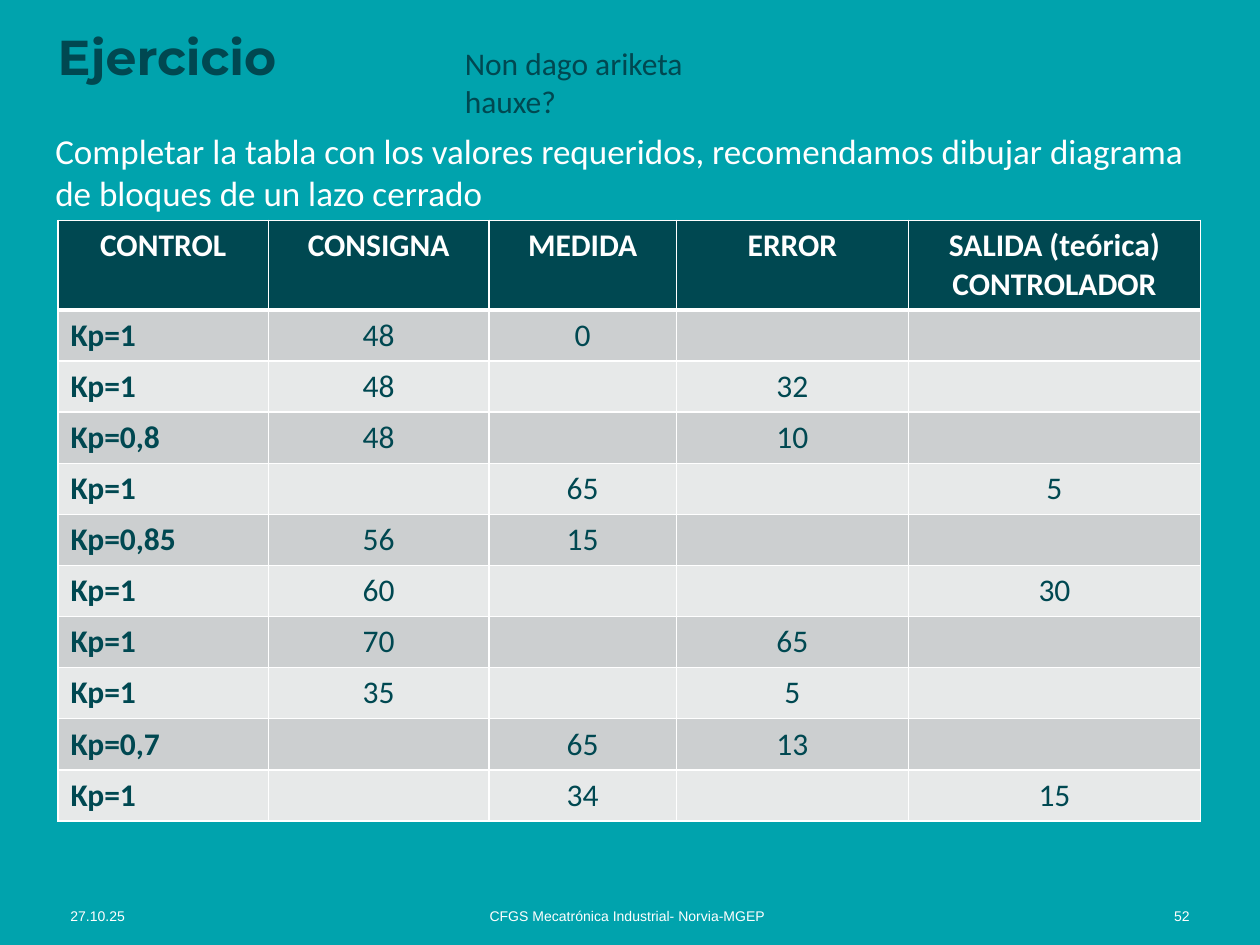
from lxml import etree
from pptx import Presentation
from pptx.dml.color import RGBColor
from pptx.enum.text import MSO_ANCHOR, PP_ALIGN
from pptx.oxml.ns import qn
from pptx.util import Inches, Pt

LEFT, CENTER, RIGHT = PP_ALIGN.LEFT, PP_ALIGN.CENTER, PP_ALIGN.RIGHT
TOP, MIDDLE = MSO_ANCHOR.TOP, MSO_ANCHOR.MIDDLE
COLORS = {"teal": "00A3AD", "dark": "004851", "white": "FFFFFF",
          "odd": "CCCFD0", "even": "E7E9E9"}
WIDTH, HEIGHT = Inches(10), Inches(7.5)

FOOTER = dict(size=8, font="Arial", color="white", anchor=MIDDLE)
TEXTS = [
    ("27.10.25", (4.6, 94.27, 13.3, 5.33), FOOTER),
    ("CFGS Mecatrónica Industrial- Norvia-MGEP", (23.7, 94.27, 52.2, 5.33),
     dict(FOOTER, align=CENTER)),
    ("52", (82.6, 94.27, 12.8, 5.33), dict(FOOTER, align=RIGHT)),
    ("Ejercicio", (3.6, 2.8, 83.8, 6.27),
     dict(size=28, font="Montserrat", bold=True, anchor=MIDDLE)),
    ("Completar la tabla con los valores requeridos, recomendamos dibujar "
     "diagrama de bloques de un lazo cerrado", (3.4, 13.07, 91.9, 10.27),
     dict(size=20, color="white")),
    ("Non dago ariketa hauxe?", (35.9, 4, 25.2, 9.47), {}),
]
ROWS = [
    ("CONTROL", "CONSIGNA", "MEDIDA", "ERROR", "SALIDA (teórica) CONTROLADOR"),
    ("Kp=1", "48", "0", "", ""),
    ("Kp=1", "48", "", "32", ""),
    ("Kp=0,8", "48", "", "10", ""),
    ("Kp=1", "", "65", "", "5"),
    ("Kp=0,85", "56", "15", "", ""),
    ("Kp=1", "60", "", "", "30"),
    ("Kp=1", "70", "", "65", ""),
    ("Kp=1", "35", "", "5", ""),
    ("Kp=0,7", "", "65", "13", ""),
    ("Kp=1", "", "34", "", "15"),
]
TABLE_LEFT, TABLE_TOP = 4.6, 23.33
COLUMN_SHARES = (16.7, 17.5, 14.9, 18.4, 23.2)
HEADER_SHARE, ROW_SHARE = 9.47, 5.4


def across(share):
    return int(WIDTH * share / 100)


def down(share):
    return int(HEIGHT * share / 100)


def write(frame, text, size=18, font="Calibri", color="dark", bold=False,
          align=LEFT, anchor=TOP):
    frame.word_wrap = True
    frame.vertical_anchor = anchor
    para = frame.paragraphs[0]
    para.alignment = align
    span = para.add_run()
    span.text = text
    span.font.size = Pt(size)
    span.font.name = font
    span.font.bold = bold
    span.font.color.rgb = RGBColor.from_string(COLORS[color])


def add_borders(cell, top, bottom):
    properties = cell._tc.get_or_add_tcPr()
    widths = {"a:lnL": 1, "a:lnR": 1, "a:lnT": top, "a:lnB": bottom}
    for place, (tag, width) in enumerate(widths.items()):
        line = etree.Element(qn(tag), w=str(Pt(width)))
        fill = etree.SubElement(line, qn("a:solidFill"))
        etree.SubElement(fill, qn("a:srgbClr"), val=COLORS["white"])
        properties.insert(place, line)


def add_exercise_table(page):
    height = HEADER_SHARE + ROW_SHARE * (len(ROWS) - 1)
    table = page.shapes.add_table(
        len(ROWS), len(COLUMN_SHARES), across(TABLE_LEFT), down(TABLE_TOP),
        across(sum(COLUMN_SHARES)), down(height)).table
    for column, share in zip(table.columns, COLUMN_SHARES):
        column.width = across(share)
    for r, values in enumerate(ROWS):
        header = r == 0
        table.rows[r].height = down(HEADER_SHARE if header else ROW_SHARE)
        fill = "dark" if header else "odd" if r % 2 else "even"
        for c, value in enumerate(values):
            cell = table.cell(r, c)
            cell.fill.solid()
            cell.fill.fore_color.rgb = RGBColor.from_string(COLORS[fill])
            add_borders(cell, top=3 if r == 1 else 1, bottom=3 if header else 1)
            if value:
                write(cell.text_frame, value, bold=header or c == 0,
                      color="white" if header else "dark",
                      align=CENTER if header or c else LEFT)


def main():
    """Build the closed-loop control exercise slide."""
    deck = Presentation()
    deck.slide_width, deck.slide_height = WIDTH, HEIGHT
    page = deck.slides.add_slide(deck.slide_layouts[6])
    page.background.fill.solid()
    page.background.fill.fore_color.rgb = RGBColor.from_string(COLORS["teal"])
    add_exercise_table(page)
    for text, (left, top, width, height), style in TEXTS:
        box = page.shapes.add_textbox(across(left), down(top),
                                      across(width), down(height))
        write(box.text_frame, text, **style)
    deck.save("out.pptx")


if __name__ == "__main__":
    main()
